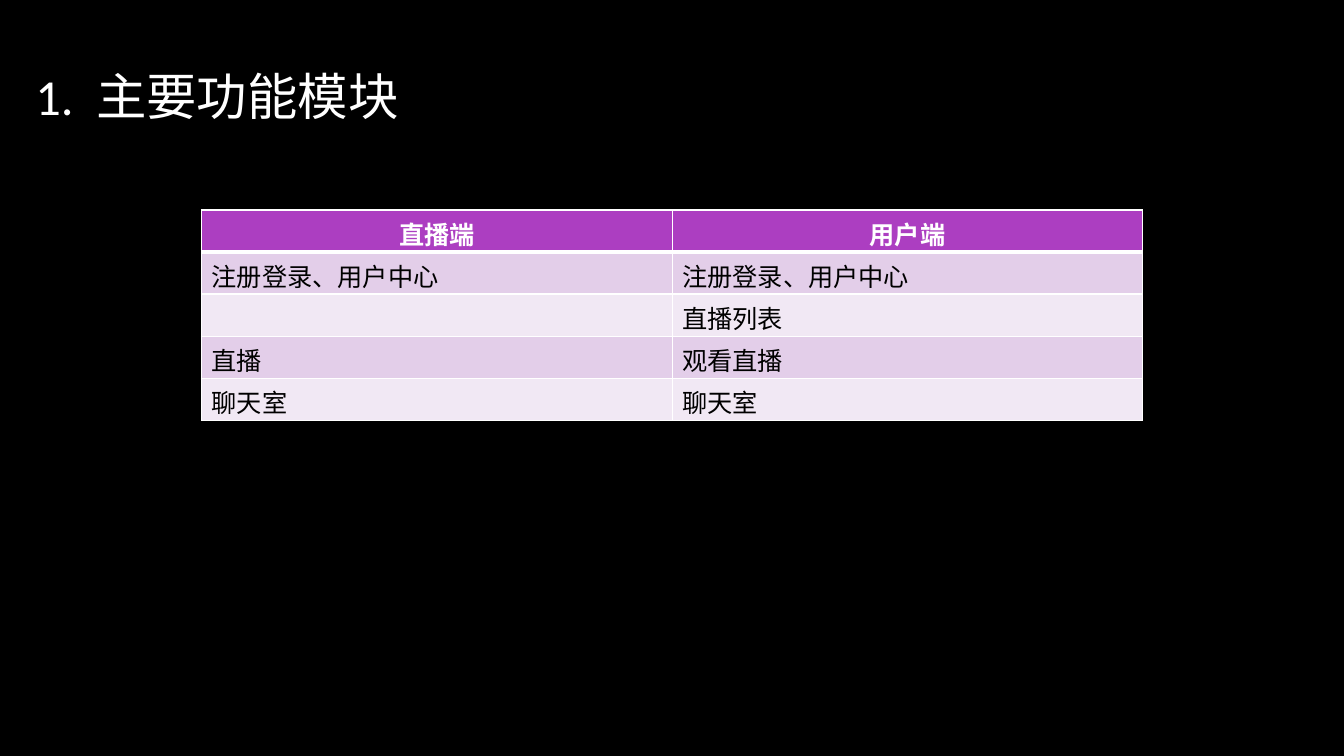
from lxml.etree import SubElement
from pptx import Presentation
from pptx.dml.color import RGBColor as Color
from pptx.enum.lang import MSO_LANGUAGE_ID as Language
from pptx.enum.text import MSO_ANCHOR as Anchor, PP_ALIGN as Align
from pptx.oxml.ns import qn
from pptx.util import Cm, Pt

THEME = {
    "font": "Calibri",
    "background": Color.from_string("000000"),
    "light": Color.from_string("FFFFFF"),
    "dark": Color.from_string("000000"),
    "header": Color.from_string("AC3EC1"),
    "bands": [Color.from_string("E3CEE9"), Color.from_string("F1E8F4")],
    "title_size": Pt(36),
    "table_size": Pt(18),
}
MODULES = [
    ("直播端", "用户端"),
    ("注册登录、用户中心", "注册登录、用户中心"),
    ("", "直播列表"),
    ("直播", "观看直播"),
    ("聊天室", "聊天室"),
]


def add_text(paragraph, text, color, **font_format):
    run = paragraph.add_run()
    run.text = text
    run.font.color.rgb = color
    font_format |= {"name": THEME["font"], "language_id": Language.SIMPLIFIED_CHINESE}
    for name, value in font_format.items():
        setattr(run.font, name, value)
    return run


def set_borders(cell, widths):
    properties = cell._tc.get_or_add_tcPr()
    for position, (side, width) in enumerate(widths.items()):
        line = SubElement(properties, qn(f"a:{side}"), w=str(Pt(width)))
        fill = SubElement(line, qn("a:solidFill"))
        SubElement(fill, qn("a:srgbClr"), val=str(THEME["light"]))
        properties.insert(position, line)


presentation = Presentation()
presentation.slide_width = Cm(33.87)
presentation.slide_height = Cm(19.05)
slide = presentation.slides.add_slide(presentation.slide_layouts[6])
slide.background.fill.solid()
slide.background.fill.fore_color.rgb = THEME["background"]

title = slide.shapes.add_textbox(Cm(0.64), Cm(0.48), Cm(28.14), Cm(4.04))
frame_format = {"word_wrap": True, "vertical_anchor": Anchor.MIDDLE}
for name, value in frame_format.items():
    setattr(title.text_frame, name, value)
heading = title.text_frame.paragraphs[0]
heading.line_spacing = 0.9
for text in ("1.", " ", "主要功能模块"):
    run = add_text(heading, text, THEME["light"], size=THEME["title_size"])
    if text == " ":
        run.font._element.set("spc", "800")

row_height = Cm(1.06)
table = slide.shapes.add_table(
    len(MODULES), 2, Cm(5.08), Cm(5.29), Cm(23.72), row_height * len(MODULES)
).table
for row_index, names in enumerate(MODULES):
    table.rows[row_index].height = row_height
    is_header = row_index == 0
    fill_color = THEME["header"] if is_header else THEME["bands"][(row_index - 1) % 2]
    text_color = THEME["light"] if is_header else THEME["dark"]
    top = 3 if row_index == 1 else 1
    bottom = 3 if is_header else 1
    for column_index, name in enumerate(names):
        cell = table.cell(row_index, column_index)
        cell.fill.solid()
        cell.fill.fore_color.rgb = fill_color
        set_borders(cell, {"lnL": 1, "lnR": 1, "lnT": top, "lnB": bottom})
        paragraph = cell.text_frame.paragraphs[0]
        paragraph.alignment = Align.CENTER if is_header else Align.LEFT
        paragraph.font.size = THEME["table_size"]
        if name:
            add_text(paragraph, name, text_color, size=THEME["table_size"], bold=is_header)

presentation.save("out.pptx")
